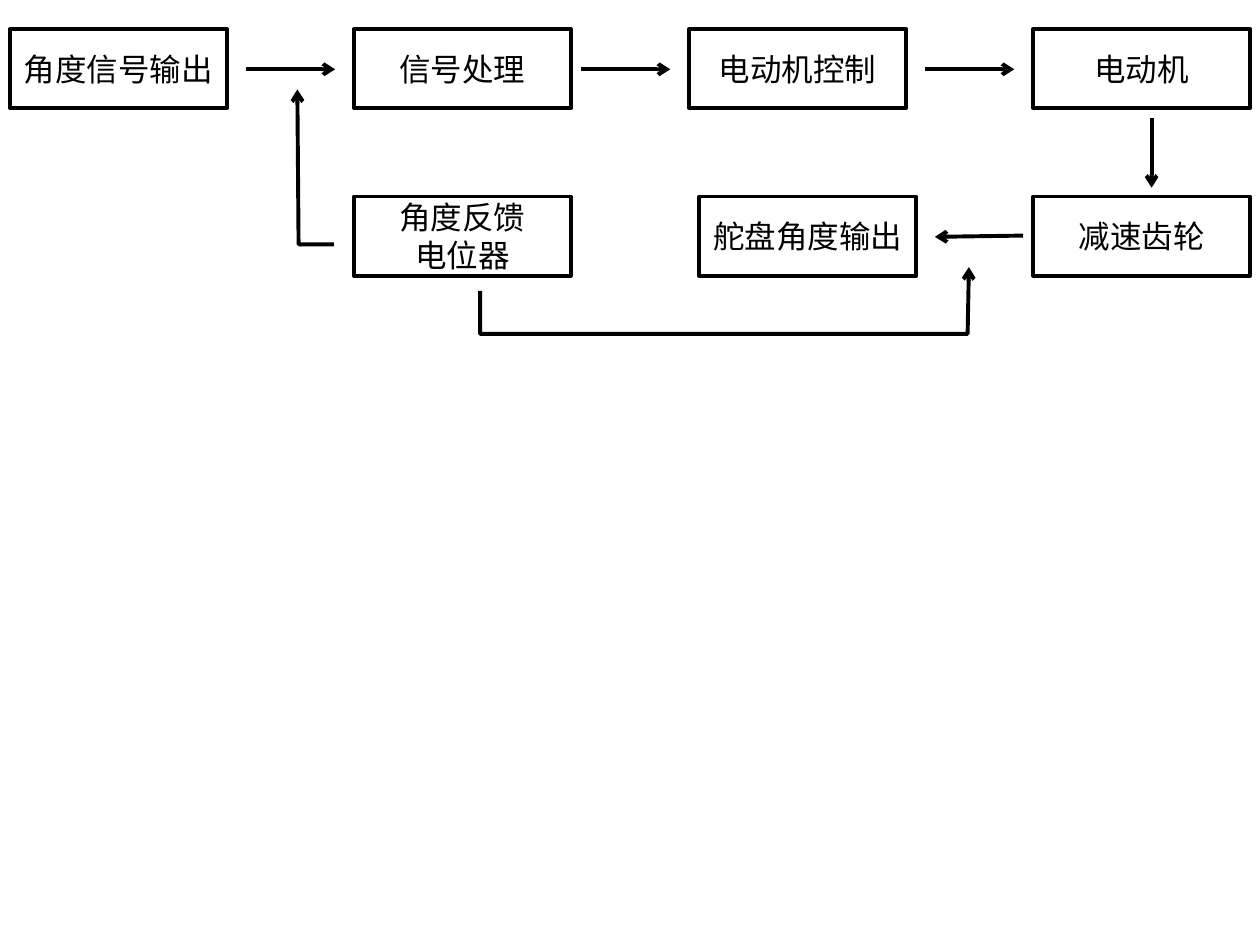
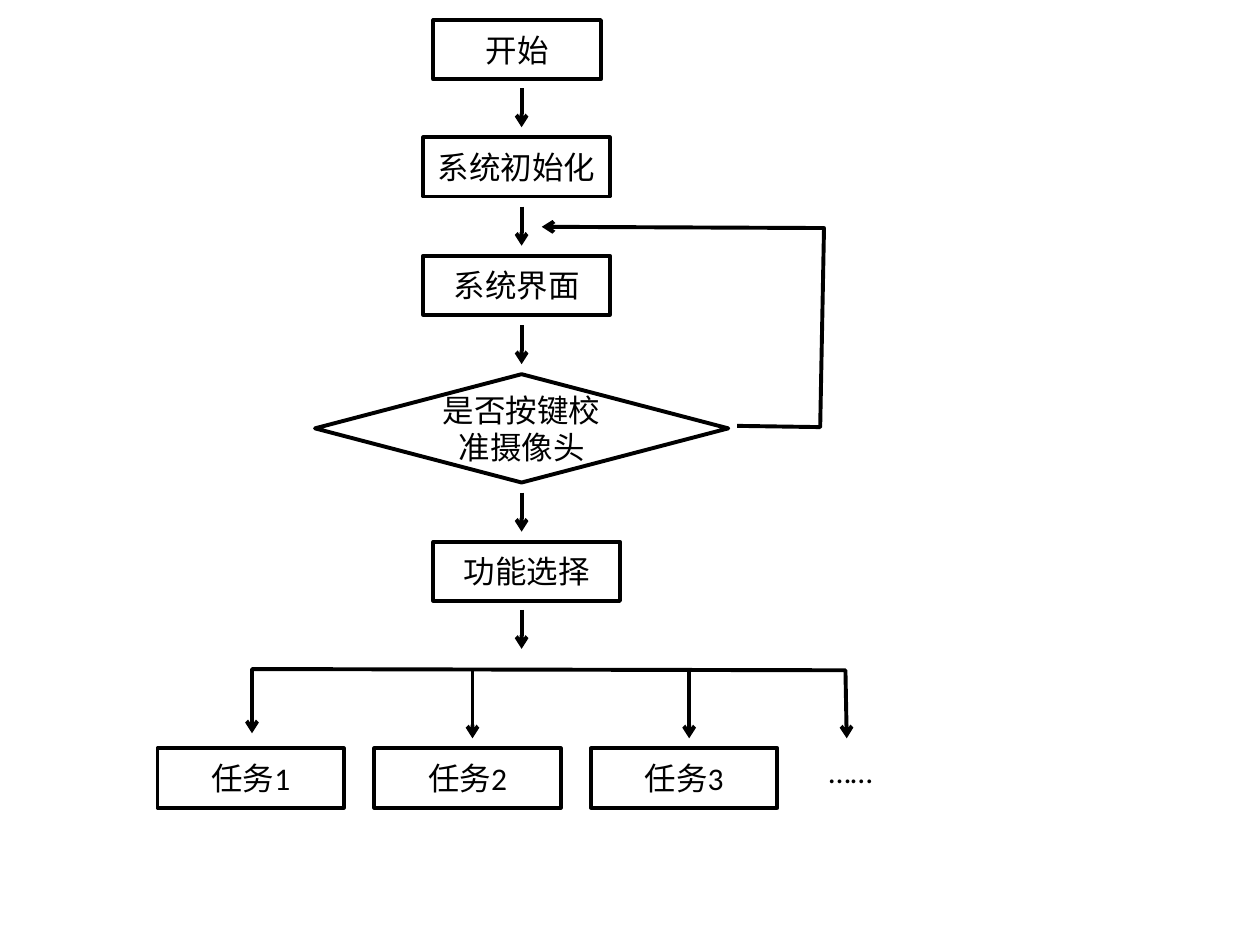
"""Two flow charts: a servo control loop and a program start-up sequence."""
from lxml import etree
from pptx import Presentation
from pptx.dml.color import RGBColor
from pptx.enum import shapes, text
from pptx.oxml.ns import qn
from pptx.util import Inches, Pt

COLOURS = {"ink": "000000"}
FONT = {"name": "Calibri", "size": Pt(18)}
FRAME = {"word_wrap": True, "vertical_anchor": text.MSO_ANCHOR.MIDDLE}
LABEL_FRAME = {"word_wrap": False,
               "auto_size": text.MSO_AUTO_SIZE.SHAPE_TO_FIT_TEXT}
LINE_WIDTH = Pt(2.25)


def apply(target, values):
    """Set every attribute named in values on target."""
    for name, value in values.items():
        setattr(target, name, value)


def colour(name):
    """Return a named colour."""
    return RGBColor.from_string(COLOURS[name])


def add_flow(presentation):
    """Add a blank slide and return the shapes of the group that holds its chart."""
    slide = presentation.slides.add_slide(presentation.slide_layouts[6])
    return slide.shapes.add_group_shape().shapes


def style_line(shape):
    """Give a shape or connector the common outline."""
    shape.line.color.rgb = colour("ink")
    shape.line.width = LINE_WIDTH


def write(shape, lines, frame_values, alignment):
    """Write one paragraph per line into a shape."""
    frame = shape.text_frame
    apply(frame, frame_values)
    frame.text = "\n".join(lines)
    for paragraph in frame.paragraphs:
        paragraph.alignment = alignment
        for run in paragraph.runs:
            apply(run.font, FONT)
            run.font.color.rgb = colour("ink")


def add_box(flow, left, top, width, height, *lines,
            kind=shapes.MSO_SHAPE.RECTANGLE):
    """Add an outlined step with centred text."""
    box = flow.add_shape(kind, *map(Inches, (left, top, width, height)))
    box.shadow.inherit = False
    box.fill.background()
    style_line(box)
    write(box, lines, FRAME, text.PP_ALIGN.CENTER)


def add_label(flow, left, top, width, height, label):
    """Add plain text without a frame."""
    box = flow.add_textbox(*map(Inches, (left, top, width, height)))
    write(box, [label], LABEL_FRAME, text.PP_ALIGN.LEFT)


def add_arrowheads(shape, ends):
    """Put open arrowheads on the given ends of a line."""
    line = shape._element.spPr.find(qn("a:ln"))
    for end in ends:
        etree.SubElement(line, qn(f"a:{end}"), type="arrow")


def add_arrow(flow, start, end):
    """Add a straight arrow from start to end."""
    arrow = flow.add_connector(shapes.MSO_CONNECTOR.STRAIGHT,
                               *map(Inches, (*start, *end)))
    style_line(arrow)
    etree.SubElement(arrow._element.spPr, qn("a:effectLst"))
    add_arrowheads(arrow, ["tailEnd"])


def add_bent_arrow(flow, points, ends=("tailEnd",)):
    """Add an open polyline with arrowheads."""
    start, *rest = [tuple(map(Inches, point)) for point in points]
    builder = flow.build_freeform(*start)
    builder.add_line_segments(rest, close=False)
    route = builder.convert_to_shape()
    route.shadow.inherit = False
    route.fill.background()
    style_line(route)
    add_arrowheads(route, ends)


def build_servo_loop(presentation):
    """Draw the servo control loop with its angle feedback."""
    flow = add_flow(presentation)
    size = (1.72, 0.63)
    upper, lower = 0.23, 1.56
    steps = [
        (0.08, upper, "角度信号输出"),
        (2.81, upper, "信号处理"),
        (5.47, upper, "电动机控制"),
        (8.2, upper, "电动机"),
        (8.2, lower, "减速齿轮"),
        (5.55, lower, "舵盘角度输出"),
        (2.81, lower, "角度反馈", "电位器"),
    ]
    for left, top, *lines in steps:
        add_box(flow, left, top, *size, *lines)
    for left in (1.95, 4.61, 7.34):
        add_arrow(flow, (left, 0.55), (left + 0.71, 0.55))
    add_arrow(flow, (9.14, 0.94), (9.14, 1.49))
    add_arrow(flow, (8.12, 1.87), (7.42, 1.88))
    add_bent_arrow(flow, [(2.65, 1.94), (2.37, 1.94), (2.36, 0.71)])
    add_bent_arrow(flow, [(3.81, 2.31), (3.81, 2.65), (7.68, 2.65), (7.69, 2.12)])


def build_program_flow(presentation):
    """Draw the start-up sequence that branches into the tasks."""
    flow = add_flow(presentation)
    width, height = 1.48, 0.47
    axis = 4.14
    add_box(flow, 3.44, 0.16, 1.33, height, "开始")
    add_box(flow, 3.36, 1.09, width, height, "系统初始化")
    add_box(flow, 3.36, 2.03, width, height, "系统界面")
    add_box(flow, 2.5, 2.97, 3.28, 0.86, "是否按键校准摄像头",
            kind=shapes.MSO_SHAPE.DIAMOND)
    add_box(flow, 3.44, 4.3, width, height, "功能选择")
    for index in range(3):
        add_box(flow, 1.25 + 1.72 * index, 5.94, width, height, f"任务{index + 1}")
    add_label(flow, 6.48, 5.92, 0.55, 0.4, "……")

    for top in (0.7, 1.64, 2.58, 3.91, 4.84):
        add_arrow(flow, (axis, top), (axis, top + 0.31))
    add_bent_arrow(flow, [(5.85, 3.38), (6.51, 3.39), (6.54, 1.81), (4.3, 1.8)])
    add_bent_arrow(flow, [(2, 5.82), (2, 5.31), (6.71, 5.32), (6.72, 5.86)],
                   ends=("headEnd", "tailEnd"))
    for x in (3.75, 5.47):
        add_arrow(flow, (x, 5.31), (x, 5.86))


def main():
    """Build and save the presentation."""
    presentation = Presentation()
    apply(presentation, {"slide_width": Inches(10), "slide_height": Inches(7.5)})
    build_servo_loop(presentation)
    build_program_flow(presentation)
    presentation.save("out.pptx")


main()
